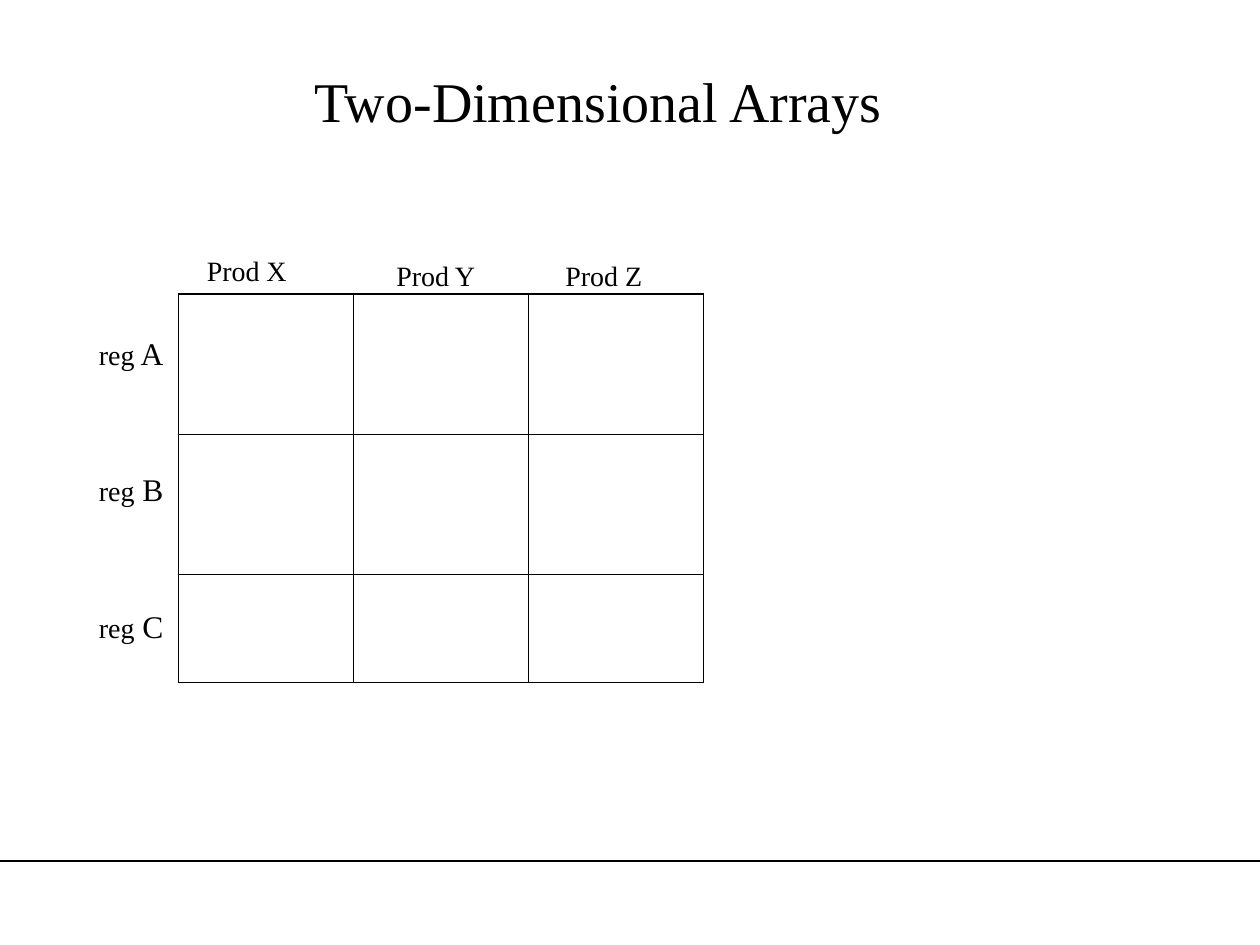
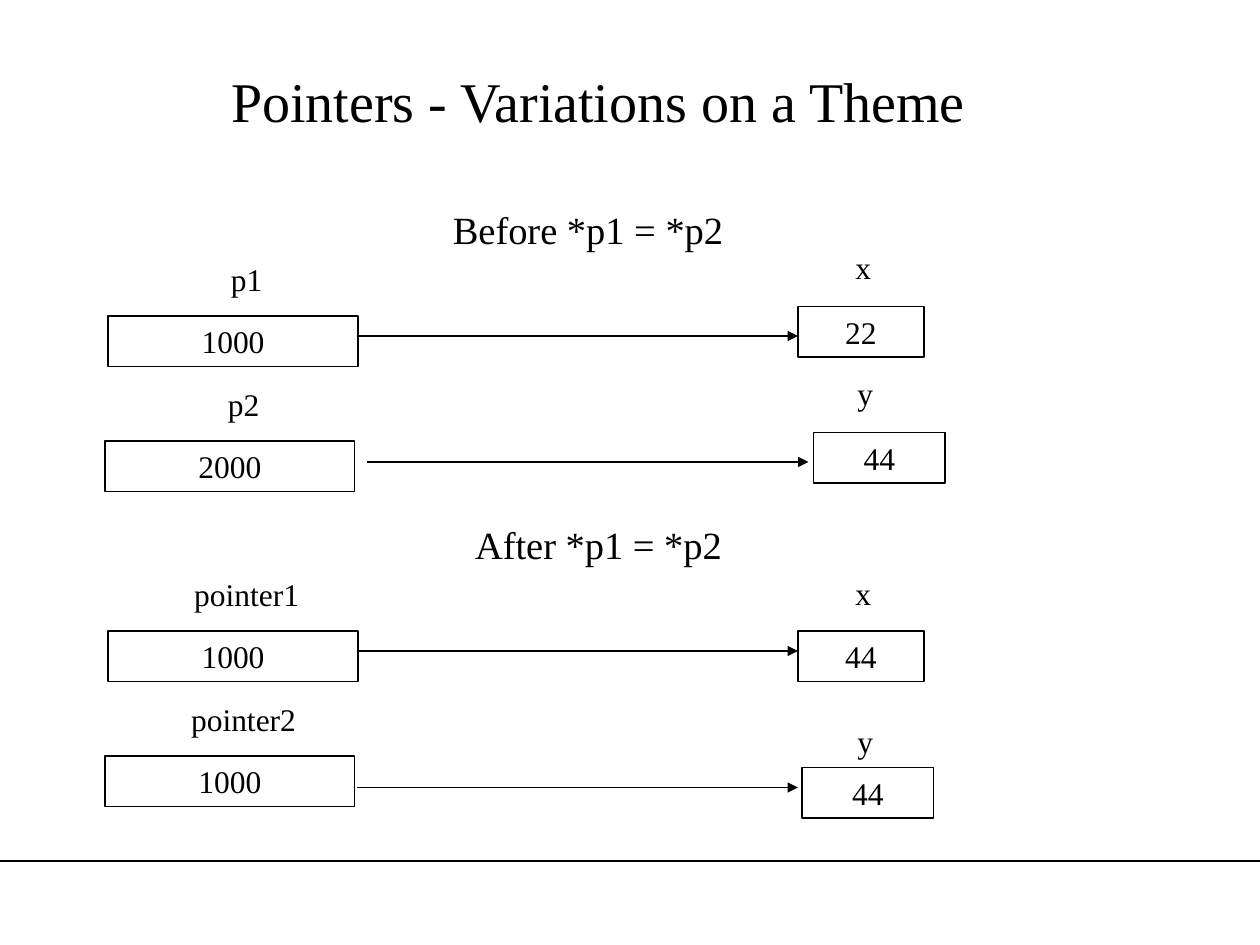
from dataclasses import dataclass

from lxml import etree
from pptx import Presentation, util as u
from pptx.dml.color import RGBColor
from pptx.enum import shapes, text
from pptx.oxml import ns

INK = RGBColor(0x00, 0x00, 0x00)
FACE = "Times New Roman"
COLS, ROWS = 120, 90  # slide grid
LINE = 0.75  # rules, arrows and boxes, in points
THIN, THICK = 0.45, 1.08  # table edges, in points

deck = Presentation()
deck.slide_width, deck.slide_height = u.Inches(10), u.Inches(7.5)


@dataclass
class Box:
    """A place on the slide, in grid columns and rows."""
    left: float
    top: float
    wide: float
    high: float = 4.8

    def span(self) -> tuple[int, int, int, int]:
        return (across(self.left), down(self.top),
                across(self.wide), down(self.high))


@dataclass
class Pair:
    """A pointer, its arrow and the variable it is drawn beside."""
    name: str
    addr: str
    left: float
    top: float
    wide: float  # width of the name label
    start: tuple[float, float]  # arrow tail
    var: str
    val: str
    tag: tuple[float, float]
    cell: Box


def across(cols: float) -> int:
    return int(deck.slide_width * cols / COLS)


def down(rows: float) -> int:
    return int(deck.slide_height * rows / ROWS)


# Shared drawing
def write(shape, parts: list[tuple[str, float]], mid: bool = True) -> None:
    frame = shape.text_frame
    frame.word_wrap = True
    frame.vertical_anchor = text.MSO_ANCHOR.MIDDLE if mid else text.MSO_ANCHOR.TOP
    para = frame.paragraphs[0]
    para.alignment = text.PP_ALIGN.CENTER
    para.font.name = FACE
    para.font.color.rgb = INK
    para.font.size = u.Pt(parts[0][1])
    for words, size in parts:
        run = para.add_run()
        run.text = words
        if size != parts[0][1]:
            run.font.size = u.Pt(size)


def label(slide, box: Box, parts: list[tuple[str, float]], mid: bool = True) -> None:
    write(slide.shapes.add_textbox(*box.span()), parts, mid)


def frame(slide, box: Box, words: str) -> None:
    rect = slide.shapes.add_shape(shapes.MSO_SHAPE.RECTANGLE, *box.span())
    rect.shadow.inherit = False
    rect.fill.background()
    rect.line.color.rgb = INK
    rect.line.width = u.Pt(LINE)
    write(rect, [(words, 18)])


def rule(slide, left: float, top: float, wide: float, arrow: bool = False) -> None:
    line = slide.shapes.add_connector(
        shapes.MSO_CONNECTOR.STRAIGHT, across(left), down(top),
        across(left + wide), down(top))
    line.line.color.rgb = INK
    line.line.width = u.Pt(LINE)
    if arrow:
        etree.SubElement(line.line._get_or_add_ln(), ns.qn("a:tailEnd"), type="triangle")
    etree.SubElement(line._element.spPr, ns.qn("a:effectLst"))


def page(title: str):
    slide = deck.slides.add_slide(deck.slide_layouts[6])
    rule(slide, 0, 82, COLS)
    label(slide, Box(6, 3, 102, 13), [(title, 32)])
    return slide


# Table
def edge(cell, sides: dict[str, float]) -> None:
    cell.fill.background()
    props = cell._tc.get_or_add_tcPr()
    for spot, (side, width) in enumerate(sides.items()):
        line = etree.Element(ns.qn(f"a:ln{side}"), w=str(u.Pt(width)))
        fill = etree.SubElement(line, ns.qn("a:solidFill"))
        etree.SubElement(fill, ns.qn("a:srgbClr"), val=str(INK))
        props.insert(spot, line)


def grid(slide, left: float, top: float, wide: list[float], high: list[float]) -> None:
    box = Box(left, top, sum(wide), sum(high))
    table = slide.shapes.add_table(len(high), len(wide), *box.span()).table
    table.first_row = table.horz_banding = False
    for col, size in zip(table.columns, wide):
        col.width = across(size)
    for row, size in zip(table.rows, high):
        row.height = down(size)
    for r in range(len(high)):
        for c in range(len(wide)):
            outer = {"L": c == 0, "R": c == len(wide) - 1,
                     "T": r == 0, "B": r == len(high) - 1}
            edge(table.cell(r, c),
                 {side: THICK if out else THIN for side, out in outer.items()})


def arrays() -> None:
    slide = page("Two-Dimensional Arrays")
    grid(slide, 17, 28, [16.67] * 3, [13.33, 13.33, 10.33])
    for i, name in enumerate("ABC"):
        label(slide, Box(8, 31.2 + 13 * i, 9), [("reg", 16), (f" {name}", 18)], False)
    for name, left, top in (("X", 18, 23.6), ("Y", 36, 24), ("Z", 52, 24)):
        label(slide, Box(left, top, 11, 4.4), [(f"Prod {name}", 16)], False)


# Pointers
HEADS = (("Before", 24, 19), ("After", 25, 49))
PAIRS = (
    Pair("p1", "1000", 10.3, 30.1, 14.4, (34, 32),
         "x", "22", (77.8, 23), Box(76, 29.2, 12)),
    Pair("p2", "2000", 10, 42, 14.4, (35, 44),
         "y", "44", (78, 35), Box(77.5, 41.2, 12.5)),
    Pair("pointer1", "1000", 10.3, 60.1, 21.4, (34, 62),
         "x", "44", (77.8, 54.1), Box(76, 60.1, 12)),
    Pair("pointer2", "1000", 10, 72, 21.4, (34, 75),
         "y", "44", (78, 68.2), Box(76.4, 73.1, 12.5)),
)


def draw(slide, pair: Pair) -> None:
    mid = pair.left + 13.2
    label(slide, Box(mid - pair.wide / 2, pair.top - 5.9, pair.wide), [(pair.name, 18)])
    frame(slide, Box(pair.left, pair.top, 23.8), pair.addr)
    rule(slide, *pair.start, 42, arrow=True)
    label(slide, Box(*pair.tag, 8.8), [(pair.var, 18)])
    frame(slide, pair.cell, pair.val)


def pointers() -> None:
    slide = page("Pointers - Variations on a Theme")
    for when, left, top in HEADS:
        label(slide, Box(left, top, 64, 5.6), [(f"{when} *p1 = *p2", 22)], False)
    for pair in PAIRS:
        draw(slide, pair)


def main() -> None:
    arrays()
    pointers()
    deck.save("out.pptx")


if __name__ == "__main__":
    main()
